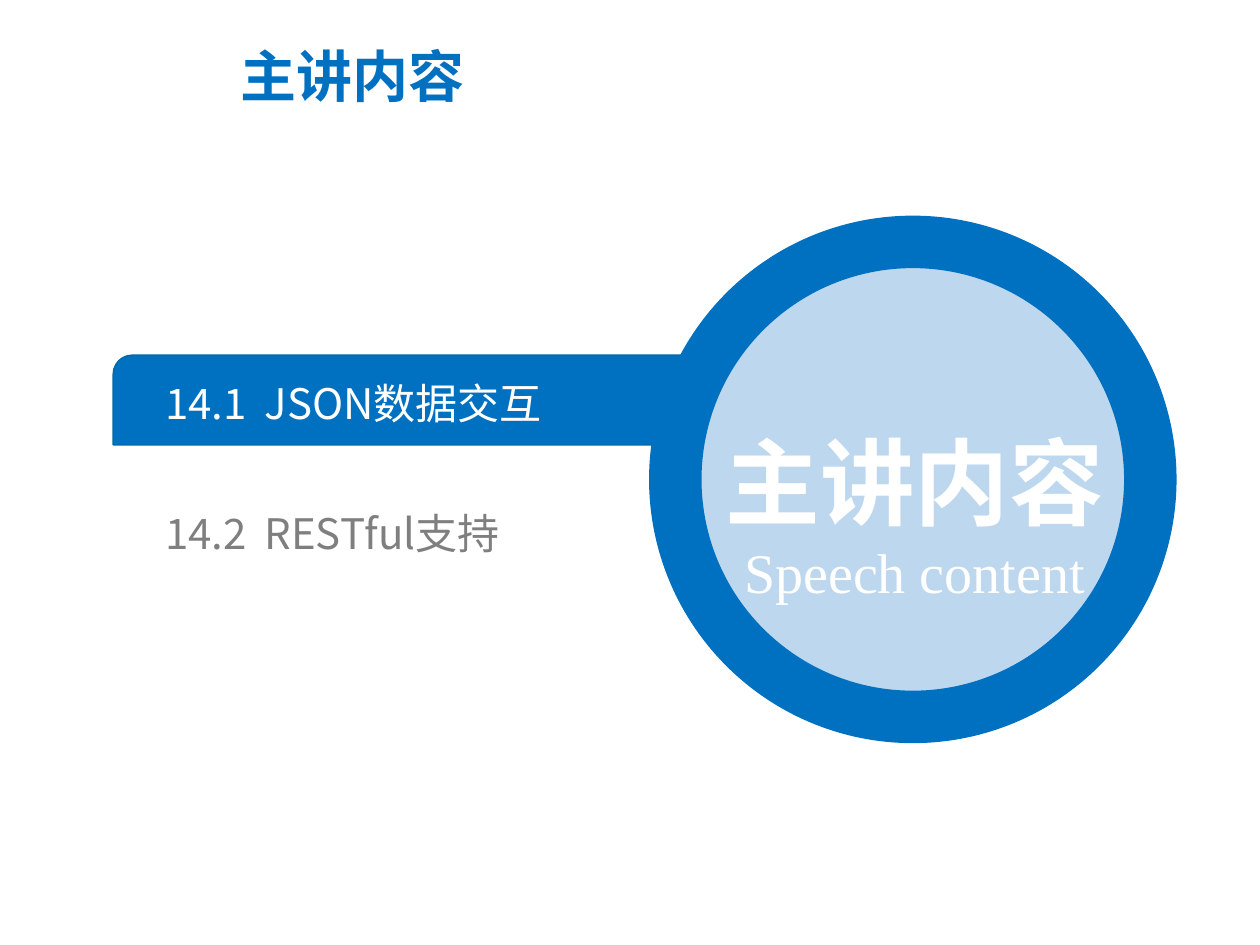
"""Build the agenda slide: a highlighted topic bar running into a large ring."""
from lxml import etree
from pptx import Presentation
from pptx import util as u
from pptx.dml import color
from pptx.enum import shapes, text
from pptx.oxml import ns

BLUE, EDGE, PALE, GREY, WHITE = "0070C0", "006BA9", "BDD7EE", "7F7F7F", "FFFFFF"
SANS, SERIF = "Noto Sans CJK SC", "Times New Roman"


def rgb(value):
    return color.RGBColor.from_string(value)


def write(paragraph, content, size, ink, font=SANS, bold=False,
          align=text.PP_ALIGN.LEFT, spacing=1.0, tab=None):
    paragraph.alignment = align
    paragraph.line_spacing = spacing
    paragraph.space_before = u.Pt(0)
    if tab is not None:
        tabs = etree.SubElement(paragraph._p.get_or_add_pPr(), ns.qn("a:tabLst"))
        etree.SubElement(tabs, ns.qn("a:tab"), pos=str(int(tab)), algn="l")
    run = paragraph.add_run()
    run.text = content
    run.font.size = u.Pt(size)
    run.font.bold = bold
    run.font.name = font
    run.font.color.rgb = rgb(ink)
    etree.SubElement(run._r.get_or_add_rPr(), ns.qn("a:ea"), typeface=font)


presentation = Presentation()
presentation.slide_width, presentation.slide_height = u.Inches(10), u.Inches(7.5)
column, row = presentation.slide_width / 100, presentation.slide_height / 75
slide = presentation.slides.add_slide(presentation.slide_layouts[5])

title = slide.shapes.title
title.left, title.top = int(18.1 * column), int(3.4 * row)
title.width, title.height = int(61.5 * column), int(8.5 * row)
title.text_frame.vertical_anchor = text.MSO_ANCHOR.TOP
title.text_frame.auto_size = text.MSO_AUTO_SIZE.NONE
write(title.text_frame.paragraphs[0], "主讲内容", 32, BLUE, bold=True, spacing=0.9)

for kind, left, top, width, height, fill, line, weight in (
    (shapes.MSO_SHAPE.ROUND_2_DIAG_RECTANGLE, 9, 28.2, 62.6, 7.1, BLUE, EDGE, 1),
    (shapes.MSO_SHAPE.OVAL, 53.6, 19.2, 37.7, 37.7, PALE, BLUE, 30),
):
    shape = slide.shapes.add_shape(kind, int(left * column), int(top * row),
                                   int(width * column), int(height * row))
    shape.shadow.inherit = False
    shape.fill.solid()
    shape.fill.fore_color.rgb = rgb(fill)
    shape.line.color.rgb = rgb(line)
    shape.line.width = u.Pt(weight)
    if kind == shapes.MSO_SHAPE.ROUND_2_DIAG_RECTANGLE:
        shape.adjustments[0] = 0.21

label = slide.shapes.add_textbox(int(53.1 * column), int(28.6 * row),
                                 int(39 * column), int(19.9 * row))
frame = label.text_frame
frame.word_wrap = True
frame.vertical_anchor = text.MSO_ANCHOR.MIDDLE
frame.auto_size = text.MSO_AUTO_SIZE.SHAPE_TO_FIT_TEXT
write(frame.paragraphs[0], "主讲内容", 54, WHITE, bold=True,
      align=text.PP_ALIGN.CENTER, spacing=1.5)
write(frame.add_paragraph(), "Speech content", 32, WHITE, font=SERIF,
      align=text.PP_ALIGN.CENTER)

for index, (topic, ink) in enumerate((("14.1\tJSON数据交互", WHITE),
                                      ("14.2\tRESTful支持", GREY))):
    box = slide.shapes.add_textbox(int(13.1 * column), int((30 + 10.3 * index) * row),
                                   int(41.5 * column), int(4 * row))
    frame = box.text_frame
    frame.word_wrap = True
    frame.margin_left = frame.margin_right = frame.margin_top = frame.margin_bottom = 0
    frame.vertical_anchor = text.MSO_ANCHOR.MIDDLE
    frame.auto_size = text.MSO_AUTO_SIZE.SHAPE_TO_FIT_TEXT
    write(frame.paragraphs[0], topic, 24, ink, tab=7.9 * column)

presentation.save("out.pptx")
